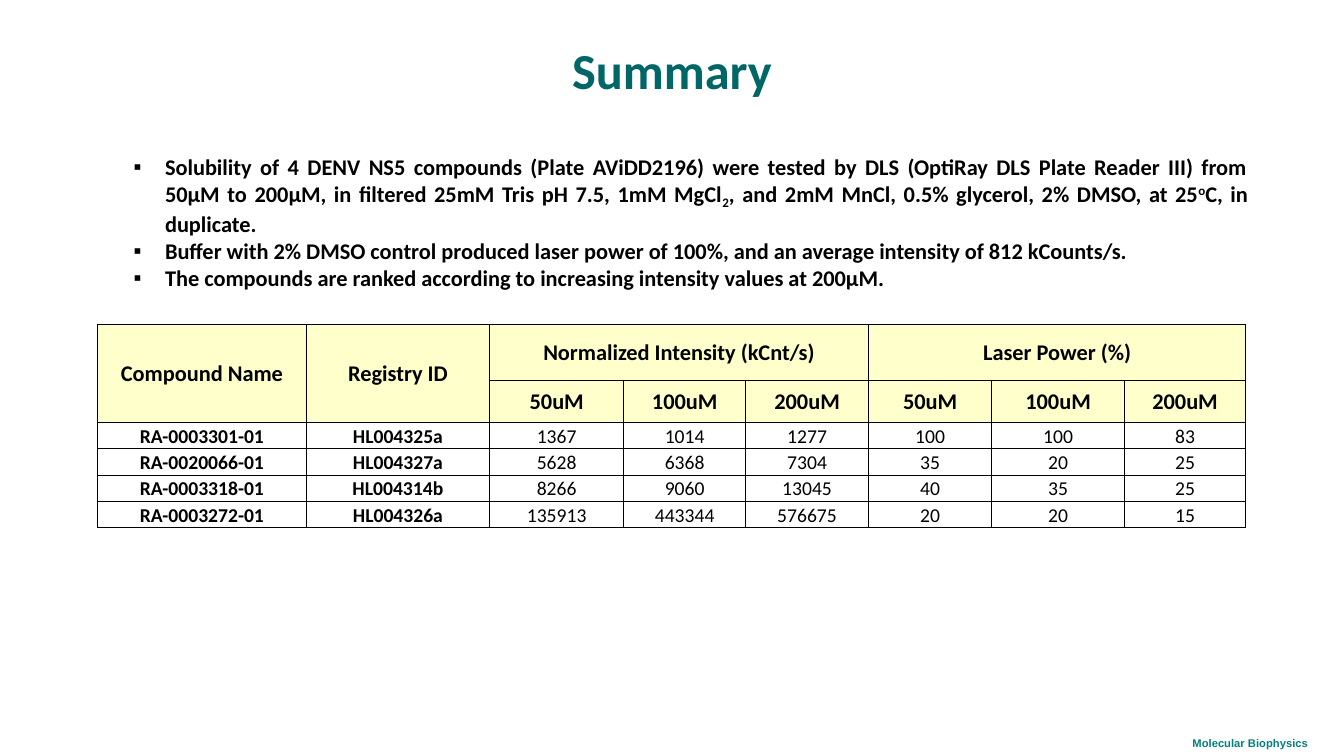
from dataclasses import dataclass

from lxml import etree
from pptx import Presentation
from pptx.dml.color import RGBColor
from pptx.enum.text import MSO_ANCHOR, MSO_AUTO_SIZE, PP_ALIGN
from pptx.oxml.ns import qn
from pptx.util import Cm, Pt

BLACK = RGBColor(0x00, 0x00, 0x00)
TEAL = RGBColor(0x00, 0x66, 0x66)
AQUA = RGBColor(0x00, 0x80, 0x80)
CREAM = RGBColor(0xFF, 0xFF, 0xCC)
CENTER, JUSTIFY = PP_ALIGN.CENTER, PP_ALIGN.JUSTIFY
MIDDLE, BOTTOM = MSO_ANCHOR.MIDDLE, MSO_ANCHOR.BOTTOM
FIXED = MSO_AUTO_SIZE.NONE


@dataclass(frozen=True)
class Style:
    size: float
    color: RGBColor = BLACK
    bold: bool = True
    font: str = "Calibri"


@dataclass(frozen=True)
class Box:
    left: float
    top: float
    width: float
    height: float

    def lengths(self) -> tuple:
        return Cm(self.left), Cm(self.top), Cm(self.width), Cm(self.height)


@dataclass(frozen=True)
class Piece:
    text: str
    shift: int = 0  # baseline offset in percent


TITLE = Style(36, TEAL)
BODY = Style(16)
NAME = Style(14)
VALUE = Style(14, bold=False)
FOOT = Style(8, AQUA, font="Arial")

POINTS = [
    [
        Piece("Solubility of 4 DENV NS5 compounds (Plate AViDD2196) were tested by DLS "
              "(OptiRay DLS Plate Reader III) from 50µM to 200µM, in filtered 25mM Tris "
              "pH 7.5, 1mM MgCl"),
        Piece("2", -25),
        Piece(", and 2mM MnCl, 0.5% glycerol, 2% DMSO, at 25"),
        Piece("o", 30),
        Piece("C, in duplicate."),
    ],
    [Piece("Buffer with 2% DMSO control produced laser power of 100%, and an average "
           "intensity of 812 kCounts/s.")],
    [Piece("The compounds are ranked according to increasing intensity values at 200µM.")],
]

DOSES = ["50uM", "100uM", "200uM"]
HEADS = [
    ["Compound Name", "Registry ID", "Normalized Intensity (kCnt/s)", "", "",
     "Laser Power (%)", "", ""],
    ["", "", *DOSES, *DOSES],
]
ROWS = [
    ["RA-0003301-01", "HL004325a", 1367, 1014, 1277, 100, 100, 83],
    ["RA-0020066-01", "HL004327a", 5628, 6368, 7304, 35, 20, 25],
    ["RA-0003318-01", "HL004314b", 8266, 9060, 13045, 40, 35, 25],
    ["RA-0003272-01", "HL004326a", 135913, 443344, 576675, 20, 20, 15],
]
WIDTHS = [5.26, 4.62, 3.38, 3.07, 3.1, 3.1, 3.35, 3.05]
HEIGHTS = [1.4, 1.07] + [0.66] * len(ROWS)
SPANS = [((0, 0), (1, 0)), ((0, 1), (1, 1)), ((0, 2), (0, 4)), ((0, 5), (0, 7))]


def add_run(para, piece: Piece, style: Style) -> None:
    run = para.add_run()
    run.text = piece.text
    font = run.font
    font.name, font.size, font.bold = style.font, Pt(style.size), style.bold
    font.color.rgb = style.color
    if piece.shift:
        run._r.get_or_add_rPr().set("baseline", str(piece.shift * 1000))


def add_bullet(para) -> None:
    props = para._p.get_or_add_pPr()
    props.set("marL", str(Cm(1.75)))
    props.set("indent", str(Cm(-0.79)))
    etree.SubElement(props, qn("a:buFont")).set("typeface", "Arial")
    etree.SubElement(props, qn("a:buChar")).set("char", "▪")


def add_label(shape, text: str, style: Style) -> None:
    frame = shape.text_frame
    frame.word_wrap = True
    frame.auto_size = FIXED
    para = frame.paragraphs[0]
    para.alignment = CENTER
    add_run(para, Piece(text), style)


def add_points(slide, box: Box) -> None:
    frame = slide.shapes.add_textbox(*box.lengths()).text_frame
    frame.word_wrap = True
    for i, pieces in enumerate(POINTS):
        para = frame.add_paragraph() if i else frame.paragraphs[0]
        para.alignment = JUSTIFY
        add_bullet(para)
        for piece in pieces:
            add_run(para, piece, BODY)


def add_edges(cell) -> None:
    props = cell._tc.get_or_add_tcPr()
    for side in ("lnL", "lnR", "lnT", "lnB"):
        line = etree.SubElement(props, qn(f"a:{side}"), w=str(Pt(0.5)))
        fill = etree.SubElement(line, qn("a:solidFill"))
        etree.SubElement(fill, qn("a:srgbClr"), val=str(BLACK))


def fill_cell(cell, text: str, style: Style, head: bool) -> None:
    cell.margin_left = cell.margin_right = cell.margin_top = Cm(0.02)
    cell.margin_bottom = 0
    cell.vertical_anchor = MIDDLE if head else BOTTOM
    add_edges(cell)
    if head:
        cell.fill.solid()
        cell.fill.fore_color.rgb = CREAM
    else:
        cell.fill.background()
    para = cell.text_frame.paragraphs[0]
    para.alignment = CENTER
    if text:
        add_run(para, Piece(text), style)


def add_grid(slide, left: float, top: float) -> None:
    box = Box(left, top, sum(WIDTHS), sum(HEIGHTS))
    table = slide.shapes.add_table(len(HEIGHTS), len(WIDTHS), *box.lengths()).table
    table.first_row = table.horz_banding = False
    for col, width in zip(table.columns, WIDTHS):
        col.width = Cm(width)
    for row, height in zip(table.rows, HEIGHTS):
        row.height = Cm(height)
    for r, row in enumerate(HEADS + ROWS):
        head = r < len(HEADS)
        for c, value in enumerate(row):
            style = BODY if head else NAME if c < 2 else VALUE
            fill_cell(table.cell(r, c), str(value), style, head)
    for first, last in SPANS:
        table.cell(*first).merge(table.cell(*last))


def main() -> None:
    deck = Presentation()
    deck.slide_width, deck.slide_height = Cm(33.87), Cm(19.05)
    slide = deck.slides.add_slide(deck.slide_layouts[5])

    # Footer
    foot = slide.shapes.add_textbox(*Box(29.16, 18.44, 4.7, 0.58).lengths())
    add_label(foot, "Molecular Biophysics", FOOT)

    # Title
    title = slide.shapes.title
    title.left, title.top, title.width, title.height = Box(0, 0.84, 33.87, 1.8).lengths()
    add_label(title, "Summary", TITLE)

    # Findings and results
    add_points(slide, Box(2.16, 3.73, 29.54, 3.68))
    add_grid(slide, 2.46, 8.18)

    deck.save("out.pptx")


if __name__ == "__main__":
    main()
